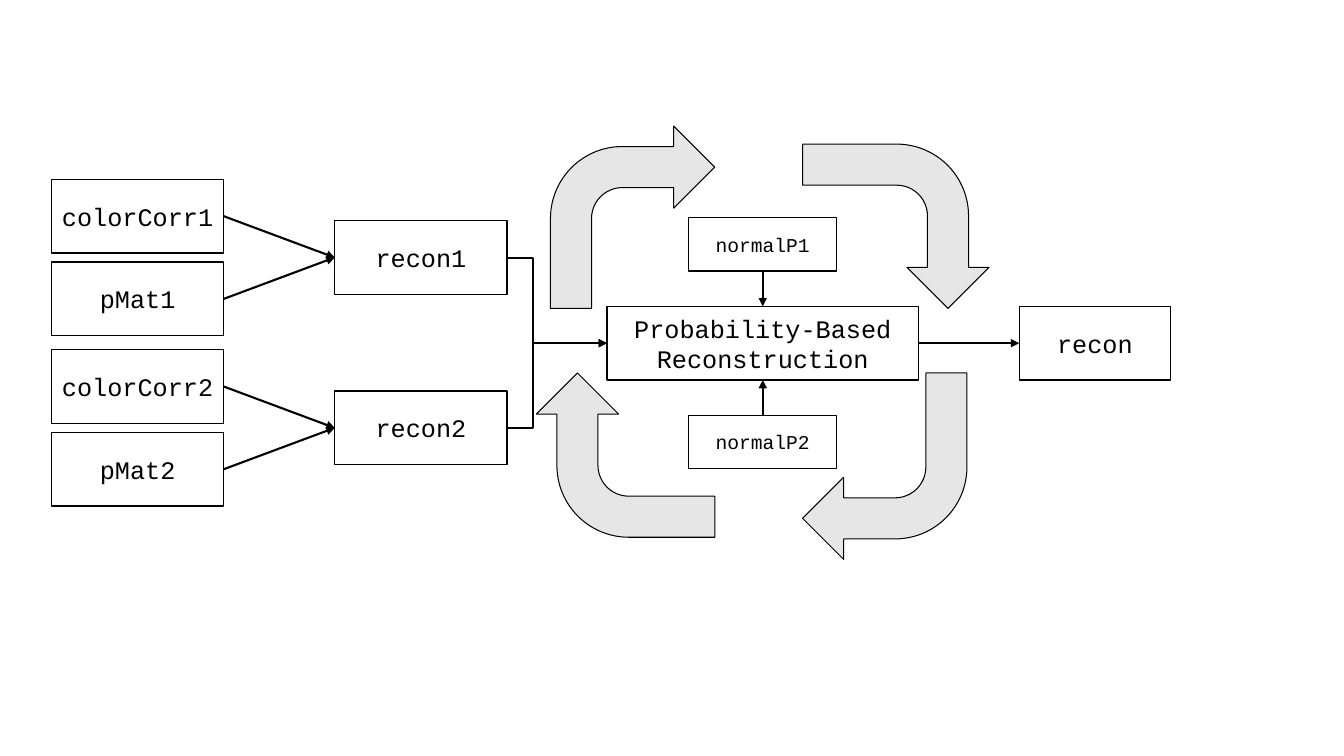
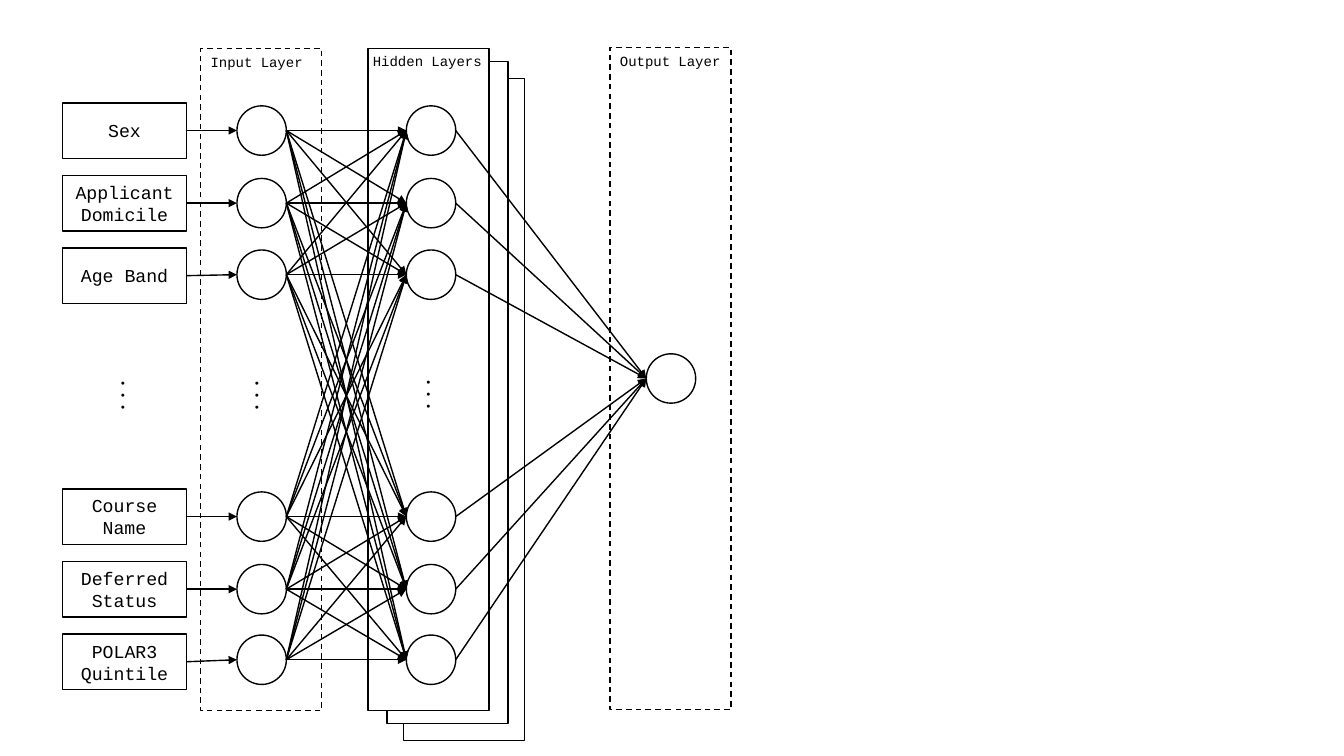
import pptx
import pptx.dml.color
import pptx.enum.dml
import pptx.enum.shapes
import pptx.enum.text
import pptx.oxml
import pptx.oxml.ns
import pptx.util

Inches = pptx.util.Inches
ShapeKind = pptx.enum.shapes.MSO_SHAPE
ConnectorKind = pptx.enum.shapes.MSO_CONNECTOR
Align = pptx.enum.text.PP_ALIGN


def color(value):
    return pptx.dml.color.RGBColor.from_string(value)


def side(shape, name):
    x_share, y_share = {
        "left": (0, 0.5),
        "right": (1, 0.5),
        "top": (0.5, 0),
        "bottom": (0.5, 1),
    }[name]
    return (
        int(shape.left + shape.width * x_share),
        int(shape.top + shape.height * y_share),
    )


class Diagram:
    ink = "000000"
    paper = "FFFFFF"
    arrow_fill = "E7E6E6"
    code_font = "Courier New"
    dots_font = "Calibri"

    def __init__(self, presentation):
        self.presentation = presentation
        self.slide = None

    def new_slide(self):
        self.slide = self.presentation.slides.add_slide(self.presentation.slide_layouts[6])

    def shape(self, kind, left, top, width, height, fill=None, weight=1, dashed=False):
        shape = self.slide.shapes.add_shape(
            kind, Inches(left), Inches(top), Inches(width), Inches(height)
        )
        shape.shadow.inherit = False
        if fill:
            shape.fill.solid()
            shape.fill.fore_color.rgb = color(fill)
        else:
            shape.fill.background()
        shape.line.color.rgb = color(self.ink)
        shape.line.width = pptx.util.Pt(weight)
        if dashed:
            shape.line.dash_style = pptx.enum.dml.MSO_LINE.DASH
        return shape

    def add_text(self, shape, text, size, font, alignment):
        shape.text_frame.word_wrap = True
        paragraph = shape.text_frame.paragraphs[0]
        paragraph.alignment = alignment
        run = paragraph.add_run()
        run.text = text
        run.font.name = font
        run.font.size = pptx.util.Pt(size)
        run.font.color.rgb = color(self.ink)

    def box(self, text, left, top, width, height, size=18):
        shape = self.shape(ShapeKind.RECTANGLE, left, top, width, height)
        self.add_text(shape, text, size, self.code_font, Align.CENTER)
        return shape

    def neuron(self, left, top):
        return self.shape(ShapeKind.OVAL, left, top, 0.49, 0.49)

    def panel(self, left, top, fill=None, dashed=False):
        return self.shape(ShapeKind.RECTANGLE, left, top, 1.2, 6.57, fill, dashed=dashed)

    def cycle_arrow(self, left, top, width, height, rotation):
        shape = self.shape(
            ShapeKind.BENT_ARROW, left, top, width, height, self.arrow_fill, 0.75
        )
        shape.rotation = rotation

    def text_box(self, left, top, width, height):
        return self.slide.shapes.add_textbox(
            Inches(left), Inches(top), Inches(width), Inches(height)
        )

    def label(self, text, left, top, width):
        shape = self.text_box(left, top, width, 0.27)
        self.add_text(shape, text, 10, self.code_font, Align.LEFT)

    def dots(self, left, top):
        shape = self.text_box(left, top, 0.67, 0.4)
        shape.rotation = 90
        self.add_text(shape, ". . .", 18, self.dots_font, Align.CENTER)

    def arrow(self, source, target, sides=("right", "left"), weight=1.0, bend=None):
        kind = ConnectorKind.STRAIGHT if bend is None else ConnectorKind.ELBOW
        connector = self.slide.shapes.add_connector(
            kind, *side(source, sides[0]), *side(target, sides[1])
        )
        connector.line.color.rgb = color(self.ink)
        connector.line.width = pptx.util.Pt(weight)
        namespace = pptx.oxml.ns.nsdecls("a")
        properties = connector._element.spPr
        line = properties.find(pptx.oxml.ns.qn("a:ln"))
        line.append(pptx.oxml.parse_xml(f'<a:tailEnd {namespace} type="triangle"/>'))
        properties.append(pptx.oxml.parse_xml(f"<a:effectLst {namespace}/>"))
        if bend is not None:
            guide = pptx.oxml.parse_xml(
                f'<a:gd {namespace} name="adj1" fmla="val {int(bend * 100000)}"/>'
            )
            properties.find(".//" + pptx.oxml.ns.qn("a:avLst")).append(guide)


def reconstruction_slide(diagram):
    diagram.new_slide()
    for placement in (
        (5.46, 1.25, 1.63, 1.81, 0),
        (7.96, 3.7, 1.63, 1.85, 180),
        (5.39, 3.63, 1.63, 1.77, 270),
        (8.07, 1.32, 1.63, 1.85, 90),
    ):
        diagram.cycle_arrow(*placement)

    box_height = 0.73
    center = diagram.box("Probability-Based Reconstruction", 6.02, 3.04, 3.09, box_height)
    for number, top in ((1, 1.78), (2, 3.47)):
        recon = diagram.box(f"recon{number}", 3.32, top + 0.41, 1.71, box_height)
        for name, offset in (("colorCorr", 0), ("pMat", 0.82)):
            source = diagram.box(f"{name}{number}", 0.51, top + offset, 1.71, box_height)
            diagram.arrow(source, recon, weight=1.5)
        diagram.arrow(recon, center, weight=1.5, bend=0.26)

    for name, top, sides in (
        ("normalP1", 2.16, ("bottom", "top")),
        ("normalP2", 4.12, ("top", "bottom")),
    ):
        normal = diagram.box(name, 6.83, top, 1.47, 0.53, 14)
        diagram.arrow(normal, center, sides, 1.5)

    result = diagram.box("recon", 10.11, 3.04, 1.5, box_height)
    diagram.arrow(center, result, weight=1.5)


def network_slide(diagram):
    diagram.new_slide()
    diagram.panel(4, 0.78, diagram.paper)
    diagram.panel(3.84, 0.61, diagram.paper)
    diagram.panel(3.65, 0.48, diagram.paper)
    diagram.panel(1.99, 0.48, dashed=True)
    diagram.panel(6.05, 0.47, dashed=True)
    diagram.label("Input Layer", 1.99, 0.48, 1.2)
    diagram.label("Hidden Layers", 3.6, 0.47, 1.59)
    diagram.label("Output Layer", 6.05, 0.47, 1.32)
    for left, top in ((0.97, 3.73), (2.3, 3.73), (4, 3.72)):
        diagram.dots(left, top)

    features = (
        "Sex", "Applicant Domicile", "Age Band",
        "Course Name", "Deferred Status", "POLAR3 Quintile",
    )
    feature_tops = [start + 0.72 * row for start in (1.02, 4.85) for row in range(3)]
    neuron_tops = (1.05, 1.77, 2.48, 4.88, 5.6, 6.3)
    inputs = [diagram.neuron(2.35, top) for top in neuron_tops]
    hidden = [diagram.neuron(4.03, top) for top in neuron_tops]
    output = diagram.neuron(6.41, 3.51)

    for feature, top, neuron in zip(features, feature_tops, inputs):
        diagram.arrow(diagram.box(feature, 0.62, top, 1.23, 0.55, 13), neuron)
    for target in hidden:
        for source in inputs:
            diagram.arrow(source, target)
        diagram.arrow(target, output)


def main():
    presentation = pptx.Presentation()
    presentation.slide_width = Inches(13.33)
    presentation.slide_height = Inches(7.5)
    diagram = Diagram(presentation)
    reconstruction_slide(diagram)
    network_slide(diagram)
    presentation.save("out.pptx")


if __name__ == "__main__":
    main()
